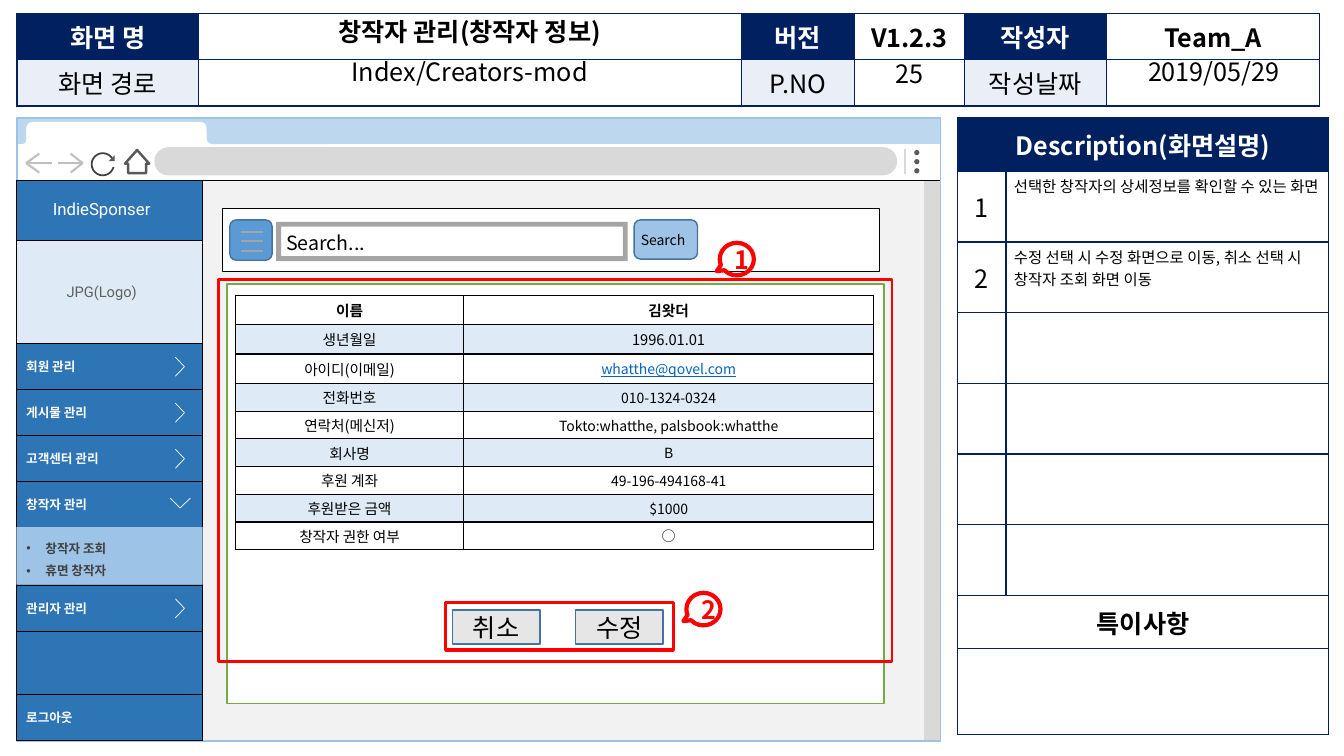
from lxml.etree import SubElement
from pptx import Presentation
from pptx.dml.color import RGBColor
from pptx.enum.shapes import MSO_CONNECTOR, MSO_SHAPE
from pptx.enum.text import MSO_ANCHOR, MSO_AUTO_SIZE, PP_ALIGN
from pptx.oxml.ns import qn
from pptx.util import Cm, Pt

NOTO, ROBOTO = "Noto Sans CJK KR", "Roboto"
BLACK, WHITE, NAVY, BLUE, RED = "000000", "FFFFFF", "002060", "2E75B6", "FF0000"
PALE, SKY, LIGHT, GREY, EDGE = "DEEBF7", "BDD7EE", "9DC3E6", "D9D9D9", "43739E"
RECT, ROUND, OVAL = MSO_SHAPE.RECTANGLE, MSO_SHAPE.ROUNDED_RECTANGLE, MSO_SHAPE.OVAL
LEFT, MID = PP_ALIGN.LEFT, PP_ALIGN.CENTER
hue = RGBColor.from_string

deck = Presentation()
deck.slide_width, deck.slide_height = Cm(33.87), Cm(19.05)
slide = deck.slides.add_slide(deck.slide_layouts[4])
shapes = slide.shapes


def draw(kind, box, fill="", line="", width=0.5, adj=()):
    shape = shapes.add_shape(kind, *map(Cm, box))
    shape.shadow.inherit = False
    for part, tint in ((shape.fill, fill), (shape.line.fill, line)):
        if tint:
            part.solid()
            part.fore_color.rgb = hue(tint)
        else:
            part.background()
    if line:
        shape.line.width = Pt(width)
    for spot, val in enumerate(adj):
        shape.adjustments[spot] = val
    return shape


def write(host, text, size, tint=BLACK, align=MID, name=NOTO, **form):
    host.text_frame.text = text
    look = {"size": Pt(size), "name": name, "bold": False, **form}
    for para in host.text_frame.paragraphs:
        para.alignment = align
        for run in para.runs:
            for key, val in look.items():
                setattr(run.font, key, val)
            run.font.color.rgb = hue(tint)
            SubElement(run._r.get_or_add_rPr(), qn("a:ea"), typeface=NOTO)


for item in (
    (RECT, (0.41, 4.53, 23.27, 14.12), "F2F2F2", BLACK),
    (RECT, (23.29, 4.55, 0.41, 14.1), GREY),
    (RECT, (0.43, 3.61, 23.27, 0.94), WHITE, BLACK),
    (ROUND, (3.89, 3.71, 18.72, 0.71), GREY, "", 0, [0.5]),
    *[(OVAL, (23.04, 3.78 + 0.23 * row, 0.13, 0.13), "595959") for row in range(3)],
    (RECT, (0.43, 2.97, 23.27, 0.66), SKY),
    (OVAL, (2.31, 3.86, 0.56, 0.56), "", "404040", 1.25),
    (RECT, (2.77, 4.01, 0.2, 0.2), WHITE),
    (MSO_SHAPE.ISOSCELES_TRIANGLE, (2.74, 3.91, 0.15, 0.15), "595959", "", 0, [1]),
    (ROUND, (0.66, 3.07, 4.55, 0.58), WHITE, "", 0, [0.28]),
    (ROUND, (4.78, 3.3, 0.86, 0.38), WHITE),
    (ROUND, (5.21, 3.12, 3.23, 0.51), SKY, "", 0, [0.28]),
    (ROUND, (0.53, 3.3, 0.33, 0.38), WHITE),
    (ROUND, (0.43, 3.12, 0.23, 0.51), SKY, "", 0, [0.46]),
    (RECT, (0.43, 2.97, 23.27, 15.7), "", LIGHT, 1),
):
    draw(*item)
home = draw(MSO_SHAPE.DOWN_ARROW, (3.15, 3.78, 0.61, 0.58), WHITE, "595959", 1.75, [0.75, 0.59])
home.rotation = 180

menu = {"size": 9, "tint": WHITE, "align": LEFT, "bold": True}
tops = [8.66 + 1.16 * row for row in range(4)] + [14.75]
names = ["회원 관리", "게시물 관리", "고객센터 관리", "창작자 관리", "관리자 관리"]
bars = [
    (4.55, 14.1, BLUE, "IndieSponser", {"size": 12, "tint": WHITE}),
    (6.05, 2.61, PALE, "JPG(Logo)", {"size": 10.5, "tint": "5F5F5F"}),
    (17.5, 1.15, BLUE, "로그아웃", menu),
] + [(top, 1.15, BLUE, name, menu) for top, name in zip(tops, names)]
for top, high, fill, text, form in bars:
    bar = draw(RECT, (0.41, top, 4.7, high), fill, BLACK)
    bar.text_frame.margin_right = Cm(0.64)
    write(bar, text, name=ROBOTO, **form)
    if high > 10:
        bar.text_frame.vertical_anchor = MSO_ANCHOR.TOP
        bar.text_frame.margin_top = Cm(0.45)

marks = [[(4.42, top + 0.34), (4.65, top + 0.58), (4.42, top + 0.82)] for top in tops]
marks[3] = [(4.29, 12.55), (4.54, 12.8), (4.8, 12.55)]
for first, *rest in marks:
    pen = shapes.build_freeform(*map(Cm, first))
    pen.add_line_segments([tuple(map(Cm, spot)) for spot in rest], close=False)
    mark = pen.convert_to_shape()
    mark.shadow.inherit = False
    mark.fill.background()
    mark.line.color.rgb = hue(WHITE)
    mark.line.width = Pt(0.5)

slots = {slot.placeholder_format.idx: slot for slot in slide.placeholders}
for spot, box, text, size, tint, align, bold, space in (
    (0, (5, 0.36, 13.67, 0.97), "창작자 관리(창작자 정보)", 18, BLACK, MID, True, 0.9),
    (1, (5, 1.37, 13.67, 0.97), "Index/Creators-mod", 18, BLACK, MID, False, 0.9),
    (3, (27.91, 1.37, 5.36, 0.97), "2019/05/29", 18, BLACK, MID, False, 0.9),
    (2, (0.41, 13.28, 4.7, 1.45), "창작자 조회\n휴면 창작자", 9, "404040", LEFT, True, 1.5),
):
    slot = slots[spot]
    slot.left, slot.top, slot.width, slot.height = map(Cm, box)
    write(slot, text, size, tint, align, ROBOTO if spot == 2 else NOTO, bold=bold)
    slot.text_frame.auto_size = MSO_AUTO_SIZE.NONE
    slot.text_frame.vertical_anchor = MSO_ANCHOR.MIDDLE if spot == 2 else MSO_ANCHOR.TOP
    for para in slot.text_frame.paragraphs:
        para.line_spacing, para.space_before = space, Pt(0)
        if spot == 2:
            props = para._p.get_or_add_pPr()
            props.set("marL", str(Cm(0.48)))
            props.set("indent", str(-Cm(0.48)))
slots[2].fill.solid()
slots[2].fill.fore_color.rgb = hue(LIGHT)
shapes._spTree.append(slots[2]._element)
shapes._spTree.remove(slots[4]._element)

for item in (
    (RECT, (5.61, 5.26, 16.56, 1.57), WHITE, BLACK),
    (ROUND, (5.79, 5.54, 1.07, 1.02), "5B9BD5", EDGE, 1),
    (MSO_SHAPE.FRAME, (6.96, 5.59, 8.86, 0.99), "A5A5A5", "", 0, [0.125]),
    (ROUND, (15.98, 5.54, 1.6, 0.99), LIGHT, EDGE, 1),
    (RECT, (5.72, 7.16, 16.56, 10.57), WHITE, "70AD47", 1),
    (RECT, (5.51, 7.04, 16.97, 9.63), "", RED, 2),
    (RECT, (11.23, 15.19, 5.74, 1.19), "", RED, 2.25),
):
    draw(*item)
for left, text in ((11.4, "취소"), (14.5, "수정")):
    write(draw(RECT, (left, 15.37, 2.21, 0.86), "E7E6E6", EDGE, 1), text, 18)
for left, top, text in ((18.14, 6.12, "1"), (17.3, 14.94, "2")):
    call = draw(MSO_SHAPE.OVAL_CALLOUT, (left, top, 0.86, 0.82), "", RED, 3, [-0.59, 0.37])
    write(call, text, 18, RED, bold=True)

head = [
    [(text, [NAVY, "EAEFF7"][row] if col % 2 == 0 else "",
      {"size": 18, "bold": row == 0, "tint": WHITE if row + col % 2 == 0 else BLACK})
     for col, text in enumerate(line)]
    for row, line in enumerate((
        ("화면 명", "", "버전", "V1.2.3", "작성자", "Team_A"),
        ("화면 경로", "", "P.NO", "", "작성날짜", ""),
    ))
]
big, note = {"size": 18}, {"size": 11, "align": LEFT}
blank = ("", "", big)
about = [
    [("Description(화면설명)", NAVY, {"size": 18, "bold": True, "tint": WHITE}), blank],
    [("1", "", big), ("선택한 창작자의 상세정보를 확인할 수 있는 화면", "", note)],
    [("2", "", big), ("수정 선택 시 수정 화면으로 이동, 취소 선택 시 창작자 조회 화면 이동", "", note)],
    *[[blank, blank]] * 4,
    [("특이사항", "", {"size": 18, "bold": True}), blank],
    [blank, blank],
]
facts = [
    ("이름", "김왓더"), ("생년월일", "1996.01.01"), ("아이디(이메일)", "whatthe@qovel.com"),
    ("전화번호", "010-1324-0324"), ("연락처(메신저)", "Tokto:whatthe, palsbook:whatthe"),
    ("회사명", "B"), ("후원 계좌", "49-196-494168-41"), ("후원받은 금액", "$1000"),
    ("창작자 권한 여부", "○"),
]
info = [
    [(text, PALE if row % 2 else "",
      {"size": 10 if col and row > 1 else 10.5, "bold": row == 0, "underline": "@" in text,
       "tint": "0563C1" if "@" in text else BLACK})
     for col, text in enumerate(pair)]
    for row, pair in enumerate(facts)
]
for left, top, wide, high, edge, grid, spans in (
    (0.43, 0.33, [4.57, 13.69, 2.84, 2.77, 3.58, 5.38], [1.17] * 2, NAVY, head, ()),
    (24.13, 2.97, [1.22, 8.13], [1.35] + [1.78] * 6 + [1.35, 2.16], NAVY, about, (0, 7, 8)),
    (5.94, 7.44, [5.74, 10.34], [0.74] * 3 + [0.7] * 6, BLACK, info, ()),
):
    size = map(Cm, (left, top, sum(wide), sum(high)))
    table = shapes.add_table(len(high), len(wide), *size).table
    table.first_row = table.horz_banding = False
    for col, val in zip(table.columns, wide):
        col.width = Cm(val)
    for row, (val, line) in enumerate(zip(high, grid)):
        table.rows[row].height = Cm(val)
        for col, (text, fill, form) in enumerate(line):
            cell = table.cell(row, col)
            props = cell._tc.get_or_add_tcPr()
            for side in "LRTB":
                rule = SubElement(props, qn("a:ln" + side), w=str(Pt(1)))
                SubElement(SubElement(rule, qn("a:solidFill")), qn("a:srgbClr"), val=edge)
            if fill:
                cell.fill.solid()
                cell.fill.fore_color.rgb = hue(fill)
            else:
                cell.fill.background()
            cell.margin_left = cell.margin_right = Cm(0.2)
            cell.margin_top = cell.margin_bottom = Cm(0.08)
            cell.vertical_anchor = MSO_ANCHOR.TOP if form is note else MSO_ANCHOR.MIDDLE
            write(cell, text, **form)
    for row in spans:
        table.cell(row, 0).merge(table.cell(row, 1))

for box, text, size, align in (
    ((6.96, 5.69, 2.82, 0.86), "Search...", 14, LEFT),
    ((15.9, 5.69, 1.93, 0.69), "Search", 10, LEFT),
    ((21.54, 1.37, 2.74, 0.97), "25", 18, MID),
):
    label = shapes.add_textbox(*map(Cm, box))
    label.text_frame.word_wrap = True
    label.text_frame.vertical_anchor = MSO_ANCHOR.MIDDLE
    write(label, text, size, align=align)

lines = [((22.81, 3.76, 22.81, 4.39), GREY, 1)]
lines += [((6.07, top, 6.63, top), "A5A5A5", 1.5) for top in (5.84, 6.08, 6.32)]
for tip, tail, wing in ((0.66, 1.3, 0.99), (2.08, 1.45, 1.78)):
    for left, top in ((tail, 4.11), (wing, 3.87), (wing, 4.35)):
        lines.append(((tip, 4.11, left, top), "BFBFBF", 1.5))
for ends, tint, width in lines:
    link = shapes.add_connector(MSO_CONNECTOR.STRAIGHT, *map(Cm, ends))
    link.line.color.rgb = hue(tint)
    link.line.width = Pt(width)
    SubElement(link._element.spPr, qn("a:effectLst"))

deck.save("out.pptx")
